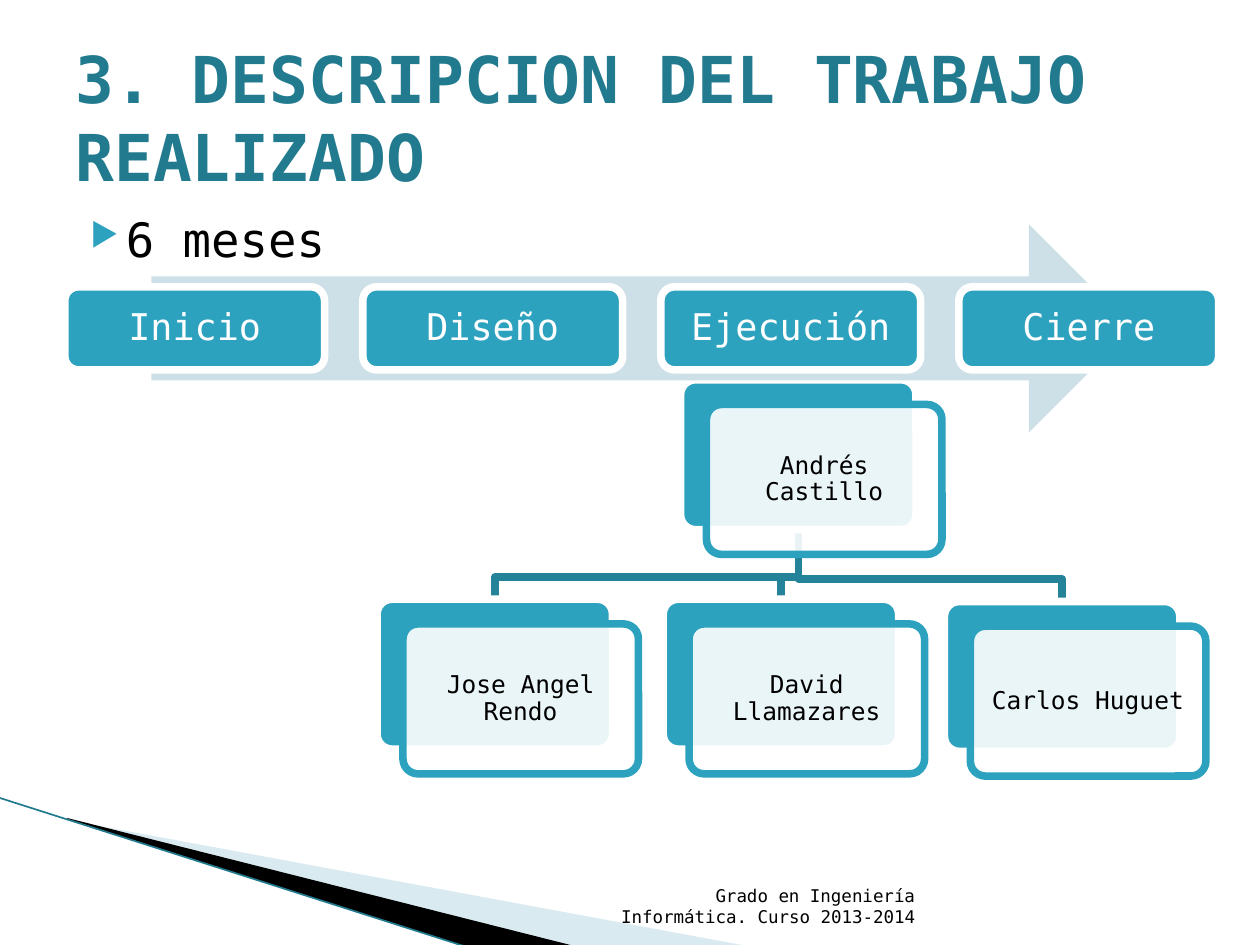
from dataclasses import dataclass

from lxml import etree
from pptx import Presentation
from pptx.dml.color import RGBColor
from pptx.enum.shapes import MSO_CONNECTOR, MSO_SHAPE
from pptx.enum.text import MSO_ANCHOR, PP_ALIGN
from pptx.oxml.ns import qn
from pptx.util import Pt

ROUNDED = MSO_SHAPE.ROUNDED_RECTANGLE
RIGHT_ARROW = MSO_SHAPE.RIGHT_ARROW
STRAIGHT = MSO_CONNECTOR.STRAIGHT
LEFT, CENTER, RIGHT = PP_ALIGN.LEFT, PP_ALIGN.CENTER, PP_ALIGN.RIGHT
TOP, MIDDLE, BOTTOM = MSO_ANCHOR.TOP, MSO_ANCHOR.MIDDLE, MSO_ANCHOR.BOTTOM


@dataclass(frozen=True)
class Theme:
    font: str = "DejaVu Sans Mono"
    accent: str = "2DA2BF"
    title: str = "227A8F"
    branch: str = "248299"
    arrow: str = "CDE0E8"
    wedge: str = "A0CBDC"
    ink: str = "000000"
    paper: str = "FFFFFF"
    title_size: float = 36.9
    body_size: float = 27
    stage_size: float = 21
    card_size: float = 14
    footer_size: float = 10
    outline: float = 4.33


THEME = Theme()


def rgb(color):
    return RGBColor.from_string(color)


def paint(shape, fill=None, line=None, opacity=100):
    shape.shadow.inherit = False
    if fill:
        shape.fill.solid()
        shape.fill.fore_color.rgb = rgb(fill)
        if opacity < 100:
            tint = shape.fill._xPr.find(".//" + qn("a:srgbClr"))
            etree.SubElement(tint, qn("a:alpha"), val=str(opacity * 1000))
    else:
        shape.fill.background()
    if line:
        shape.line.color.rgb = rgb(line)
        shape.line.width = Pt(THEME.outline)
    else:
        shape.line.fill.background()


def write(shape, text, size, color, align=LEFT, anchor=TOP, inset=None, bold=False):
    frame = shape.text_frame
    frame.word_wrap = True
    frame.vertical_anchor = anchor
    if inset is not None:
        frame.margin_left = frame.margin_right = Pt(inset)
        frame.margin_top = frame.margin_bottom = Pt(inset)
    frame.text = text
    paragraph = frame.paragraphs[0]
    paragraph.alignment = align
    font = paragraph.runs[0].font
    font.name, font.size, font.bold = THEME.font, Pt(size), bold
    font.color.rgb = rgb(color)
    return paragraph


def add_label(slide, box, *args, **style):
    label = slide.shapes.add_textbox(*map(Pt, box))
    return write(label, *args, **style)


def add_block(slide, box, fill, line, opacity=100, rounding=None):
    block = slide.shapes.add_shape(ROUNDED, *map(Pt, box))
    if rounding is not None:
        block.adjustments[0] = rounding
    paint(block, fill, line, opacity)
    return block


def add_path(slide, points, closed):
    start, *rest = [(Pt(x), Pt(y)) for x, y in points]
    builder = slide.shapes.build_freeform(*start, scale=1.0)
    builder.add_line_segments(rest, close=closed)
    return builder.convert_to_shape()


def add_corner(slide, left, top):
    def at(points):
        return [(left + x, top + y) for x, y in points]

    pale = add_path(slide, at([(39.6, 13), (428.4, 85), (328.3, 85), (39.6, 12.3)]), True)
    paint(pale, THEME.wedge, opacity=40)
    dark = add_path(slide, at([(38.2, 11.6), (329, 85), (267.8, 85.7), (38.9, 12.3)]), True)
    paint(dark, THEME.ink)
    (x1, y1), (x2, y2) = at([(-0.7, 0), (267.8, 85.7)])
    edge = slide.shapes.add_connector(STRAIGHT, Pt(x1), Pt(y1), Pt(x2), Pt(y2))
    edge.line.color.rgb = rgb(THEME.title)
    edge.line.width = Pt(0.95)
    etree.SubElement(edge._element.spPr, qn("a:effectLst"))


def add_duration(slide, box, text):
    paragraph = add_label(slide, box, text, THEME.body_size, THEME.ink)
    paragraph.space_before = Pt(4)
    properties = paragraph._p.get_or_add_pPr()
    properties.set("marL", str(Pt(28.8)))
    properties.set("indent", str(Pt(-20.16)))
    bullet_color = etree.SubElement(properties, qn("a:buClr"))
    etree.SubElement(bullet_color, qn("a:srgbClr"), val=THEME.accent)
    etree.SubElement(properties, qn("a:buSzPct"), val="68000")
    etree.SubElement(properties, qn("a:buChar"), char="▶")


def add_card(slide, box, name):
    left, top, width, height = box
    add_block(slide, box, THEME.accent, THEME.paper, rounding=0.1)
    front_box = (left + 14.8, top + 14.1, width, height)
    front = add_block(slide, front_box, THEME.paper, THEME.accent, 90, 0.1)
    paragraph = write(front, name, THEME.card_size, THEME.ink, CENTER, MIDDLE, 4.32)
    paragraph.line_spacing = 0.9


def add_team(slide, left, top, leader, members):
    width, height, elbow_rise = 134.6, 85.7, 12.8
    leader_x = left + 173.4
    trunk_x = leader_x + width / 2
    trunk_y = top + height
    for _, x, y in reversed(members):
        member_x, member_y = left + x + width / 2, top + y
        elbow_y = member_y - elbow_rise
        branch = add_path(slide, [(trunk_x, trunk_y), (trunk_x, elbow_y),
                                  (member_x, elbow_y), (member_x, member_y)], False)
        paint(branch, line=THEME.branch)
    add_card(slide, (leader_x, top, width, height), leader)
    for name, x, y in members:
        add_card(slide, (left + x, top + y, width, height), name)


def add_stages(slide, left, top, width, names):
    stage_width, stage_height = 148.5, 47.5
    arrow = slide.shapes.add_shape(
        RIGHT_ARROW, Pt(left + 49.5), Pt(top), Pt(560.9), Pt(118.8))
    paint(arrow, THEME.arrow)
    pitch = (width - stage_width) / (len(names) - 1)
    for index, name in enumerate(names):
        box = (left + index * pitch, top + 35.7, stage_width, stage_height)
        stage = add_block(slide, box, THEME.accent, THEME.paper)
        paragraph = write(stage, name, THEME.stage_size, THEME.paper, CENTER, MIDDLE, 6.48)
        paragraph.line_spacing = 0.9


def main():
    deck = Presentation()
    deck.slide_width, deck.slide_height = Pt(720), Pt(540)
    slide = deck.slides.add_slide(deck.slide_layouts[6])
    add_corner(slide, 0, 455.8)
    add_label(slide, (344.9, 504.7, 185, 28.8),
              "Grado en Ingeniería Informática. Curso 2013-2014",
              THEME.footer_size, THEME.ink, align=RIGHT, anchor=BOTTOM)
    add_label(slide, (36, 21.6, 648, 90), "3. DESCRIPCION DEL TRABAJO REALIZADO",
              THEME.title_size, THEME.title, anchor=MIDDLE, bold=True)
    add_duration(slide, (36, 116.6, 648, 356.4), "6 meses")
    add_team(slide, 215.5, 217, "Andrés Castillo", [
        ("Jose Angel Rendo", 0, 125.4),
        ("David Llamazares", 163.5, 125.4),
        ("Carlos Huguet", 324.2, 126.7),
    ])
    add_stages(slide, 37, 128.2, 659.4, ["Inicio", "Diseño", "Ejecución", "Cierre"])
    deck.save("out.pptx")


if __name__ == "__main__":
    main()
